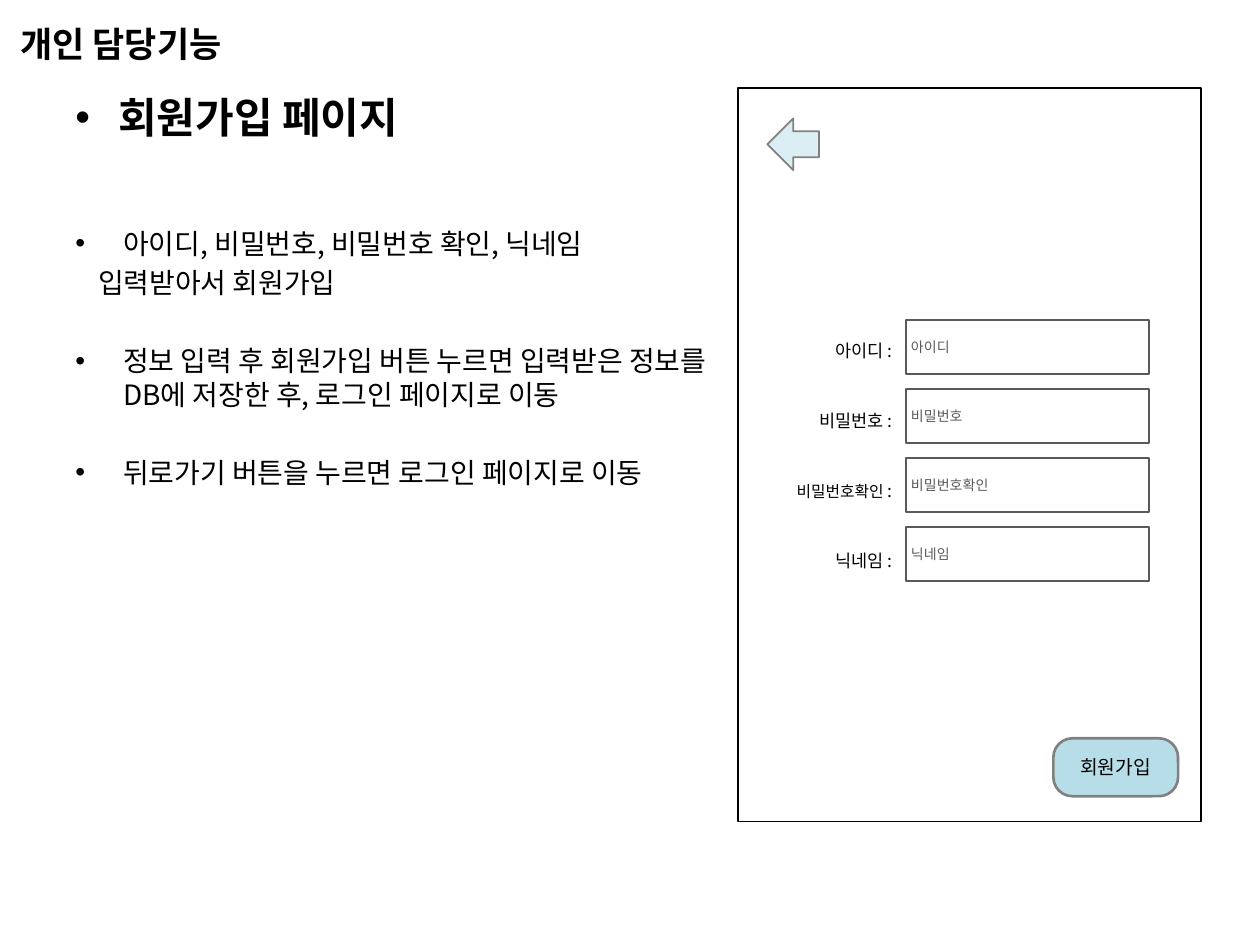
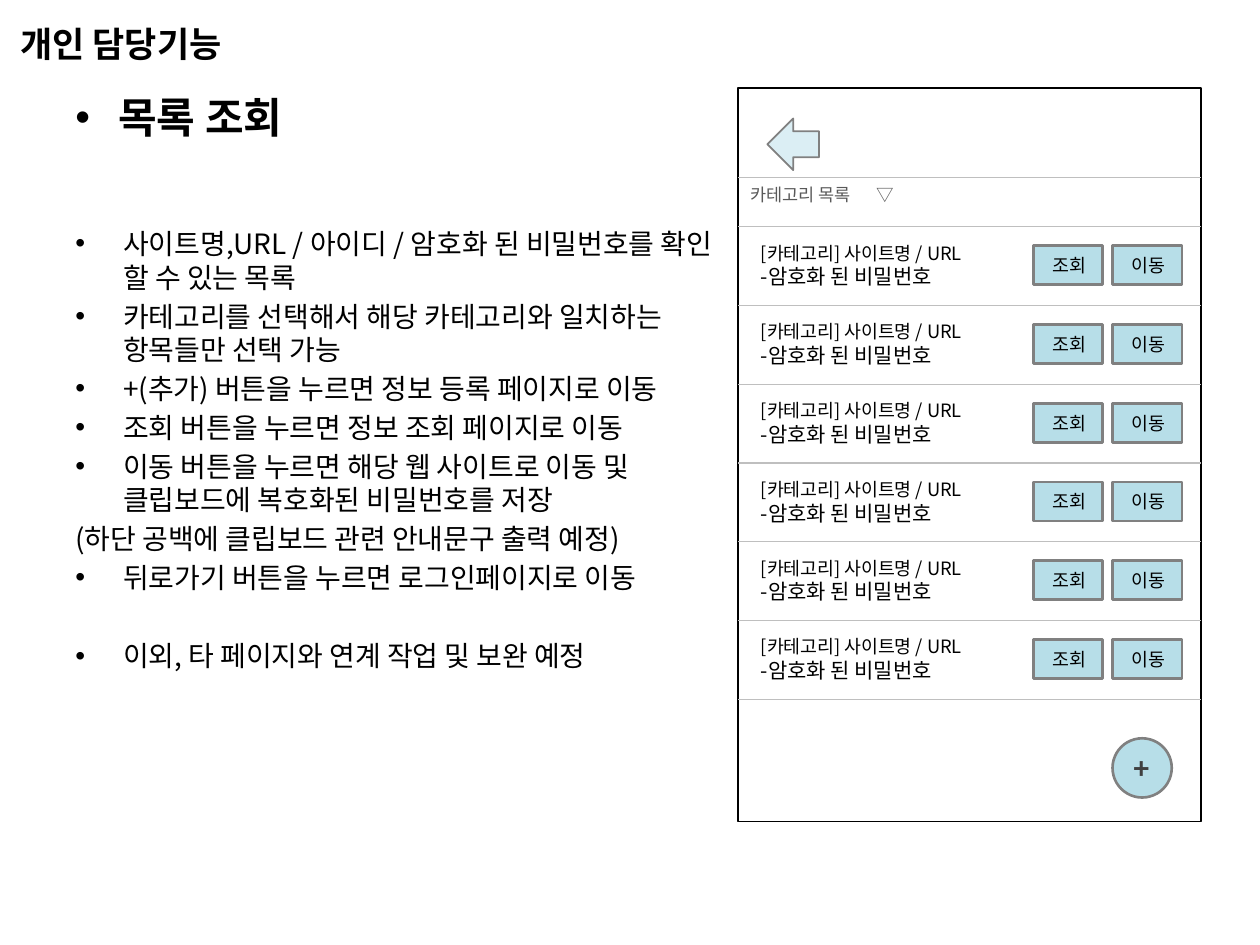
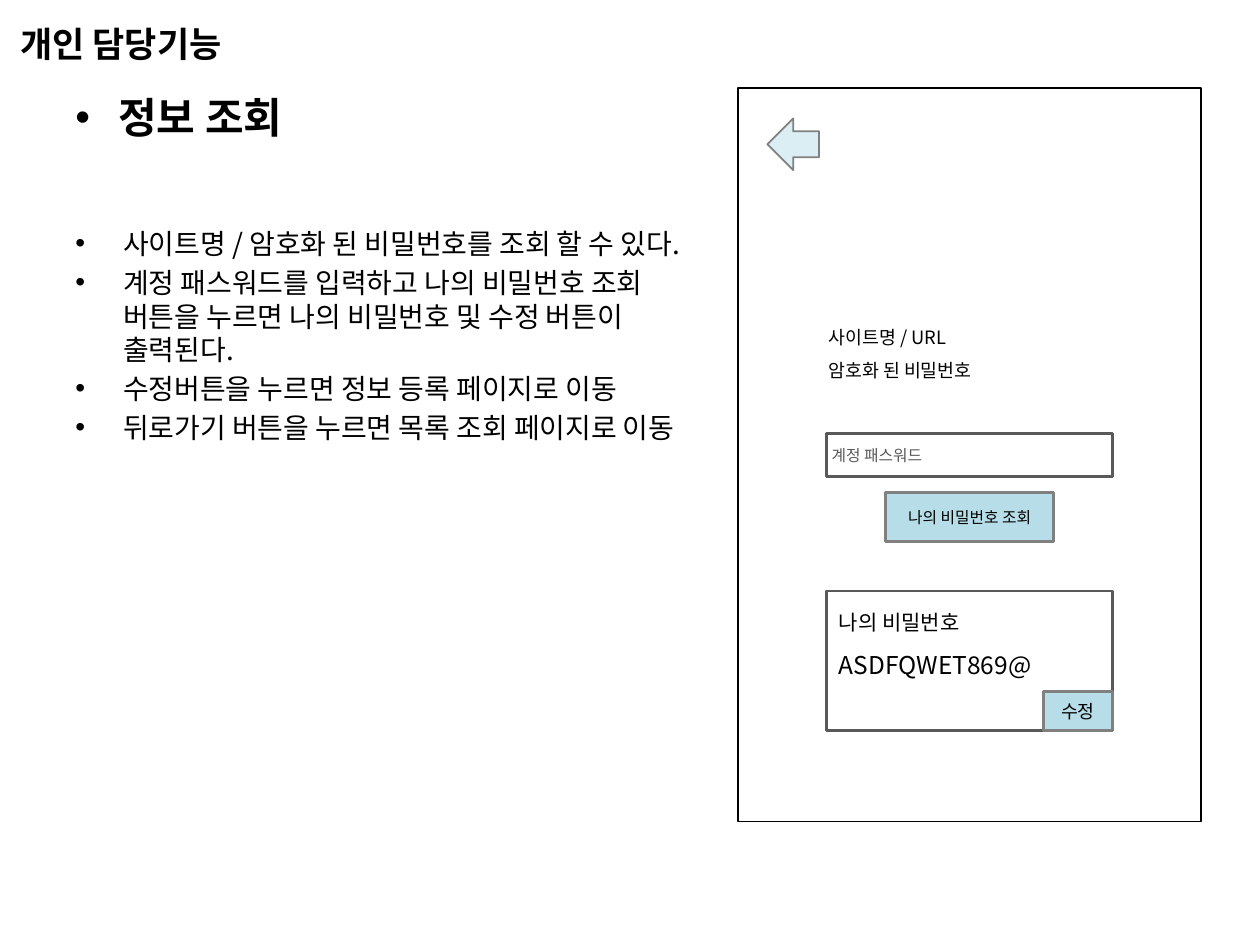
from lxml import etree
from pptx import Presentation
from pptx.dml.color import RGBColor
from pptx.enum.shapes import MSO_CONNECTOR, MSO_SHAPE as SHAPE
from pptx.enum.text import MSO_ANCHOR as ANCHOR, PP_ALIGN as ALIGN
from pptx.oxml.ns import qn
from pptx.util import Inches, Pt

FONT = "Noto Sans CJK KR"
BLACK = RGBColor(0x00, 0x00, 0x00)
DARK = RGBColor(0x40, 0x40, 0x40)
HINT = RGBColor(0x59, 0x59, 0x59)
BORDER = RGBColor(0x80, 0x80, 0x80)
RULE = RGBColor(0xBF, 0xBF, 0xBF)
BUTTON = RGBColor(0xB7, 0xDE, 0xE8)
ARROW = RGBColor(0xDB, 0xEE, 0xF4)

SECTION = "개인 담당기능"
BULLET = dict(bullet=True, margin=0.38, before=3)
BULLET_GAP = dict(BULLET, before=25.5)  # one empty line above

SIGNUP = [
    ("아이디, 비밀번호, 비밀번호 확인, 닉네임", BULLET),
    ("입력받아서 회원가입", dict(margin=0.18, before=3)),
    ("정보 입력 후 회원가입 버튼 누르면 입력받은 정보를 DB에 저장한 후, "
     "로그인 페이지로 이동", BULLET_GAP),
    ("뒤로가기 버튼을 누르면 로그인 페이지로 이동", BULLET_GAP),
]
LISTING = [
    ("사이트명,URL / 아이디 / 암호화 된 비밀번호를 확인 할 수 있는 목록", BULLET),
    ("카테고리를 선택해서 해당 카테고리와 일치하는 항목들만 선택 가능", BULLET),
    ("+(추가) 버튼을 누르면 정보 등록 페이지로 이동", BULLET),
    ("조회 버튼을 누르면 정보 조회 페이지로 이동", BULLET),
    ("이동 버튼을 누르면 해당 웹 사이트로 이동 및 클립보드에 복호화된 "
     "비밀번호를 저장", BULLET),
    ("(하단 공백에 클립보드 관련 안내문구 출력 예정)", dict(before=3)),
    ("뒤로가기 버튼을 누르면 로그인페이지로 이동", BULLET),
    ("이외, 타 페이지와 연계 작업 및 보완 예정", BULLET_GAP),
]
DETAIL = [
    ("사이트명 / 암호화 된 비밀번호를 조회 할 수 있다.", BULLET),
    ("계정 패스워드를 입력하고 나의 비밀번호 조회 버튼을 누르면 "
     "나의 비밀번호 및 수정 버튼이 출력된다.", BULLET),
    ("수정버튼을 누르면 정보 등록 페이지로 이동", BULLET),
    ("뒤로가기 버튼을 누르면 목록 조회 페이지로 이동", BULLET),
]
FIELDS = [("아이디", 10), ("비밀번호", 10), ("비밀번호확인", 9), ("닉네임", 10)]
ENTRY = [("[카테고리] 사이트명 / URL", dict(size=10.5)), ("-암호화 된 비밀번호", dict(size=12))]
ENTRY_BUTTONS = ["조회", "이동"]
ENTRY_COUNT = 6

PHONE_X, PHONE_Y, PHONE_W, PHONE_H = 5.86, 0.7, 3.67, 5.82
FIELD_INSETS = (0.04, 0.05, 0.1, 0.05)


def add_paragraph(p, text, size=16, color=BLACK, bold=False, align=None,
                  spacing=None, before=0, margin=0, bullet=False, tab=None):
    """Fill p with text: a string, or a list of (string, size) runs."""
    p.alignment, p.line_spacing, p.space_before = align, spacing, Pt(before)
    pPr = p._p.get_or_add_pPr()
    pPr.set("marL", str(Inches(margin)))
    pPr.set("indent", str(Inches(-margin if bullet else 0)))
    if bullet:
        etree.SubElement(pPr, qn("a:buFont"), typeface="Arial")
        etree.SubElement(pPr, qn("a:buChar"), char="•")
    if tab:
        tabs = etree.SubElement(pPr, qn("a:tabLst"))
        etree.SubElement(tabs, qn("a:tab"), pos=str(Inches(tab)), algn="l")
    for part, part_size in [(text, size)] if isinstance(text, str) else text:
        r = p.add_run()
        r.text = part
        r.font.name, r.font.size, r.font.bold = FONT, Pt(part_size), bold
        r.font.color.rgb = color
        etree.SubElement(r._r.get_or_add_rPr(), qn("a:ea"), typeface=FONT)


def write(sp, text, insets=(0.1, 0.05, 0.1, 0.05), anchor=ANCHOR.TOP, wrap=True, **fmt):
    """Write a string, or a list of (text, format) paragraphs, into sp."""
    tf = sp.text_frame
    tf.word_wrap, tf.vertical_anchor = wrap, anchor
    tf.margin_left, tf.margin_top, tf.margin_right, tf.margin_bottom = map(Inches, insets)
    for i, (part, own) in enumerate([(text, {})] if isinstance(text, str) else text):
        p = tf.add_paragraph() if i else tf.paragraphs[0]
        add_paragraph(p, part, **{**fmt, **own})


def add_text(s, box, text, **fmt):
    write(s.shapes.add_textbox(*map(Inches, box)), text, **fmt)


def add_box(s, box, kind=SHAPE.RECTANGLE, fill=None, line=BORDER, width=1.5):
    sp = s.shapes.add_shape(kind, *map(Inches, box))
    sp.shadow.inherit = False
    if fill is None:
        sp.fill.background()
    else:
        sp.fill.solid()
        sp.fill.fore_color.rgb = fill
    sp.line.color.rgb, sp.line.width = line, Pt(width)
    return sp


def add_button(s, box, text, kind=SHAPE.RECTANGLE, **fmt):
    sp = add_box(s, box, kind, BUTTON)
    write(sp, text, anchor=ANCHOR.MIDDLE, align=ALIGN.CENTER, **fmt)
    return sp


def add_field(s, box, hint, size, width):
    write(add_box(s, box, line=HINT, width=width), hint, insets=FIELD_INSETS,
          anchor=ANCHOR.MIDDLE, size=size, color=HINT)


def add_rule(s, y):
    y = Inches(y)
    c = s.shapes.add_connector(MSO_CONNECTOR.STRAIGHT, Inches(PHONE_X), y,
                               Inches(PHONE_X + PHONE_W), y)
    c.line.color.rgb, c.line.width = RULE, Pt(0.75)
    etree.SubElement(c._element.spPr, qn("a:effectLst"))


def add_page(prs, title, notes):
    """Add a slide with its heading, description and empty phone screen."""
    s = prs.slides.add_slide(prs.slide_layouts[6])
    add_text(s, (0.5, 0.3, 9, 1.25), title, anchor=ANCHOR.MIDDLE, size=24, bold=True,
             bullet=True, margin=0.34)
    add_text(s, (0.12, 0.13, 2.27, 0.44), SECTION, insets=(0.04, 0.05, 0.04, 0.05),
             size=20, bold=True)
    add_text(s, (0.5, 1.75, 5.28, 4.73), notes)
    add_box(s, (PHONE_X, PHONE_Y, PHONE_W, PHONE_H), line=BLACK, width=1)
    add_box(s, (6.09, 0.94, 0.41, 0.41), SHAPE.LEFT_ARROW, ARROW, width=1)
    return s


def draw_signup(s):
    labels = [([(name, size), (" :", 10)], dict(before=20 if i else 0))
              for i, (name, size) in enumerate(FIELDS)]
    add_text(s, (6.09, 2.54, 1.09, 2.06), labels, insets=FIELD_INSETS,
             align=ALIGN.RIGHT, spacing=Pt(20))
    for i, (name, _) in enumerate(FIELDS):
        add_field(s, (7.19, 2.54 + 0.547 * i, 1.93, 0.43), name, 8, 1)
    button = add_button(s, (8.36, 5.86, 0.99, 0.46), "회원가입",
                        SHAPE.ROUNDED_RECTANGLE, size=11)
    button.adjustments[0] = 0.33


def draw_listing(s):
    add_text(s, (PHONE_X, 1.41, PHONE_W, 0.27), "카테고리 목록\t▽",
             insets=(0.1, 0.05, 0, 0.05), size=10, color=HINT, tab=3.26)
    add_rule(s, 1.41)
    add_rule(s, 1.8)
    for i in range(ENTRY_COUNT):
        top = 1.8 + 0.625 * i
        add_text(s, (5.94, top + 0.07, 1.95, 0.48), ENTRY, wrap=False)
        for j, name in enumerate(ENTRY_BUTTONS):
            add_button(s, (8.2 + 0.63 * j, top + 0.15, 0.55, 0.31), name,
                       insets=(0.12, 0.05, 0.1, 0.05), size=10.5)
        add_rule(s, top + 0.625)
    add_button(s, (8.83, 5.86, 0.47, 0.47), "+", SHAPE.OVAL, insets=(0, 0, 0, 0),
               color=DARK, bold=True)


def draw_detail(s):
    add_text(s, (6.48, 2.45, 2.34, 0.63), [("사이트명 / URL", {}), ("암호화 된 비밀번호", {})],
             size=10.5, spacing=1.5)
    add_field(s, (6.56, 3.44, 2.27, 0.34), "계정 패스워드", 9, 1.5)
    add_button(s, (7.03, 3.91, 1.33, 0.39), "나의 비밀번호 조회", size=9)
    write(add_box(s, (6.56, 4.69, 2.27, 1.11), line=HINT),
          [("나의 비밀번호", dict(size=12)), ("ASDFQWET869@", dict(size=14))],
          spacing=1.5, align=ALIGN.LEFT)
    add_button(s, (8.28, 5.49, 0.55, 0.31), "수정", size=10.5)


PAGES = [
    ("회원가입 페이지", SIGNUP, draw_signup),
    ("목록 조회", LISTING, draw_listing),
    ("정보 조회", DETAIL, draw_detail),
]


def main():
    prs = Presentation()
    prs.slide_width, prs.slide_height = Inches(10), Inches(7.5)
    for title, notes, draw in PAGES:
        draw(add_page(prs, title, notes))
    prs.save("out.pptx")


if __name__ == "__main__":
    main()
